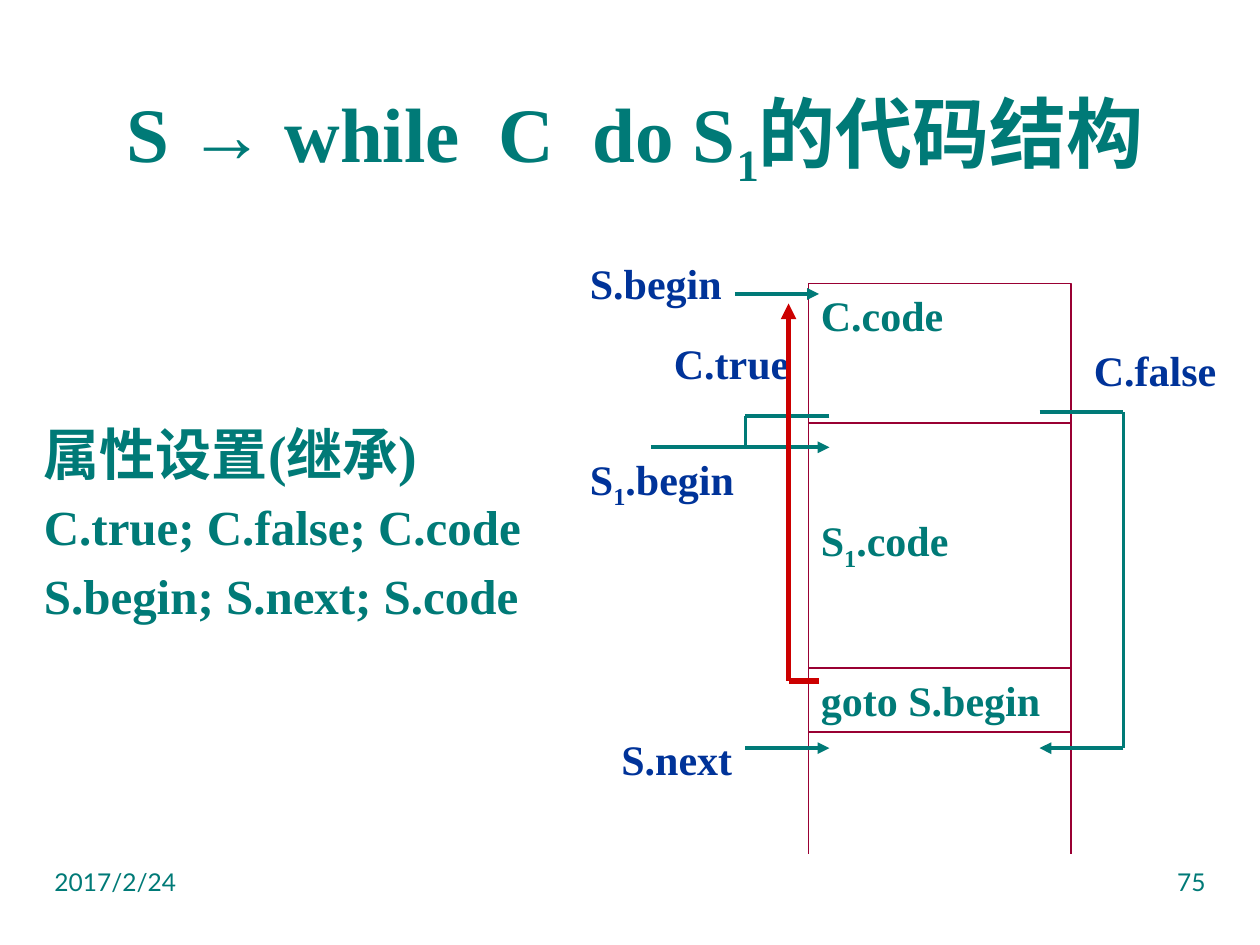
from dataclasses import dataclass
from itertools import pairwise

from lxml import etree
from pptx import Presentation
from pptx.dml.color import RGBColor
from pptx.enum.shapes import MSO_CONNECTOR, MSO_SHAPE
from pptx.enum.text import MSO_ANCHOR, MSO_AUTO_SIZE, PP_ALIGN
from pptx.oxml.ns import qn
from pptx.util import Inches, Length, Pt

LEFT, CENTER, RIGHT = PP_ALIGN.LEFT, PP_ALIGN.CENTER, PP_ALIGN.RIGHT
TOP, MIDDLE = MSO_ANCHOR.TOP, MSO_ANCHOR.MIDDLE
GROW = MSO_AUTO_SIZE.SHAPE_TO_FIT_TEXT
RECTANGLE, STRAIGHT = MSO_SHAPE.RECTANGLE, MSO_CONNECTOR.STRAIGHT
COLORS = {"teal": "007A77", "navy": "003399", "maroon": "990033", "red": "CC0000"}
SERIF, SANS = "Times New Roman", "Lato"
CELLS_PER_INCH = 12
BOX_LEFT, BOX_RIGHT = 77, 102


@dataclass(frozen=True)
class CodeBox:
    text: str
    top: float
    bottom: float
    inset: float = 0.6


@dataclass(frozen=True)
class Label:
    text: str
    column: float
    row: float
    width: float


@dataclass(frozen=True)
class Route:
    points: tuple[tuple[float, float], ...]
    color: str = "teal"
    weight: float = 2.25
    arrow: bool = True


CODE_BOXES = [
    CodeBox("C.code", 27, 40.3),
    CodeBox("S_1.code", 40.3, 69.75, inset=8.75),
    CodeBox("goto S.begin", 63.6, 69.75),
]
LABELS = [
    Label("C.true", 63, 31.6, 13.6),
    Label("S_1.begin", 55, 42.6, 16.4),
    Label("C.false", 103, 32.25, 14.2),
    Label("S.next", 58, 69.25, 13.2),
    Label("S.begin", 55, 23.9, 15.2),
]
ROUTES = [
    Route(((BOX_RIGHT, 61), (BOX_RIGHT, 81.3)), "maroon", 1, False),
    Route(((BOX_LEFT, 61), (BOX_LEFT, 81.3)), "maroon", 1, False),
    Route(((79, 39.6), (71, 39.6), (71, 42.6)), arrow=False),
    Route(((62, 42.6), (79, 42.6))),
    Route(((99, 39.25), (107, 39.25), (107, 71.25), (99, 71.25))),
    Route(((71, 71.25), (79, 71.25))),
    Route(((70, 28), (78, 28))),
    Route(((78, 64.85), (75.1, 64.85), (75.1, 28.9)), "red", 3),
]


def cells(count: float) -> Length:
    return Inches(count / CELLS_PER_INCH)


def color(name: str) -> RGBColor:
    return RGBColor.from_string(COLORS[name])


def write(paragraph, text: str, *, size: float = 24, font: str = SERIF,
          fill: str = "teal", bold: bool = True, align=LEFT, before: float = 0) -> None:
    paragraph.alignment = align
    paragraph.space_before = Pt(before)
    base, *subscripted = text.split("_")
    pieces = [(base, False)]
    for part in subscripted:
        pieces += [(part[0], True), (part[1:], False)]
    for content, lowered in pieces:
        run = paragraph.add_run()
        run.text = content
        run.font.size = Pt(size)
        run.font.name = font
        run.font.bold = bold
        run.font.color.rgb = color(fill)
        if lowered:
            run.font._element.set("baseline", "-25000")


def add_text_frame(slide, column: float, row: float, width: float, height: float,
                   *, wrap: bool = True, anchor=TOP):
    box = slide.shapes.add_textbox(*map(cells, (column, row, width, height)))
    box.text_frame.word_wrap = wrap
    box.text_frame.vertical_anchor = anchor
    return box.text_frame


def draw_code_box(slide, box: CodeBox) -> None:
    bounds = (BOX_LEFT, box.top, BOX_RIGHT - BOX_LEFT, box.bottom - box.top)
    shape = slide.shapes.add_shape(RECTANGLE, *map(cells, bounds))
    shape.shadow.inherit = False
    shape.fill.background()
    shape.line.color.rgb = color("maroon")
    shape.line.width = Pt(1)
    frame = shape.text_frame
    frame.word_wrap = True
    frame.vertical_anchor = TOP
    frame.margin_top = cells(box.inset)
    write(frame.paragraphs[0], box.text)


def draw_label(slide, label: Label) -> None:
    frame = add_text_frame(slide, label.column, label.row, label.width, 6, wrap=False)
    frame.auto_size = GROW
    frame.margin_right = 0
    write(frame.paragraphs[0], label.text, fill="navy")


def draw_route(slide, route: Route) -> None:
    for start, end in pairwise(route.points):
        line = slide.shapes.add_connector(STRAIGHT, *map(cells, start + end))
        line.line.color.rgb = color(route.color)
        line.line.width = Pt(route.weight)
        properties = line._element.spPr
        if route.arrow and end == route.points[-1]:
            outline = properties.find(qn("a:ln"))
            etree.SubElement(outline, qn("a:tailEnd"), type="triangle")
        etree.SubElement(properties, qn("a:effectLst"))


def draw_texts(slide) -> None:
    title = add_text_frame(slide, 9, 6.25, 103, 13.75, anchor=MIDDLE)
    write(title.paragraphs[0], "S → while  C  do S_1的代码结构", size=44, align=CENTER)
    body = add_text_frame(slide, 3, 39.4, 50, 22.7)
    write(body.paragraphs[0], "属性设置(继承)", size=32)
    for text in ("C.true; C.false; C.code", "S.begin; S.next; S.code"):
        write(body.add_paragraph(), text, size=28, before=5.6)
    for text, column, align in (("2017/2/24", 4, LEFT), ("75", 86, RIGHT)):
        footer = add_text_frame(slide, column, 82, 30, 6.25)
        write(footer.paragraphs[0], text, size=14, font=SANS, bold=False, align=align)


def main() -> None:
    presentation = Presentation()
    presentation.slide_width, presentation.slide_height = cells(120), cells(90)
    slide = presentation.slides.add_slide(presentation.slide_layouts[6])
    draw_texts(slide)
    for box in CODE_BOXES:
        draw_code_box(slide, box)
    for label in LABELS:
        draw_label(slide, label)
    for route in ROUTES:
        draw_route(slide, route)
    presentation.save("out.pptx")


if __name__ == "__main__":
    main()
